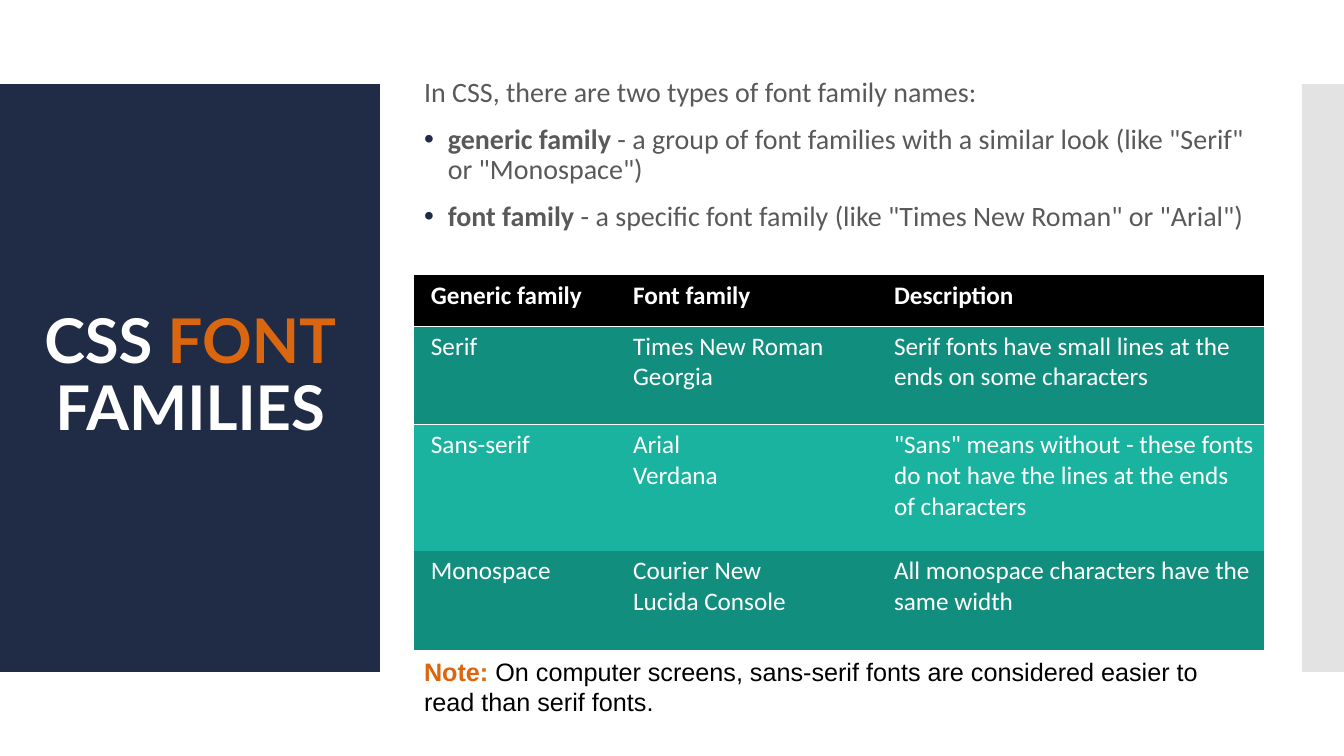
from pptx import Presentation
from pptx.util import Pt
from pptx.dml.color import RGBColor
from pptx.enum.shapes import MSO_SHAPE
from pptx.enum.text import MSO_ANCHOR, MSO_AUTO_SIZE, PP_ALIGN
from pptx.oxml import parse_xml
from pptx.oxml.ns import nsdecls
from lxml.etree import SubElement

NAVY = RGBColor(0x20, 0x2C, 0x45)
GREY = RGBColor(0xC8, 0xC8, 0xC8)
ORANGE = RGBColor(0xDA, 0x67, 0x0F)
TEXT = RGBColor(0x59, 0x59, 0x59)
DARK = RGBColor(0x12, 0x8E, 0x7E)
LIGHT = RGBColor(0x1A, 0xB3, 0x9F)
WHITE = RGBColor(0xFF, 0xFF, 0xFF)
BLACK = RGBColor(0, 0, 0)

# Content
TITLE = [("CSS ", WHITE), ("FONT", ORANGE), (" FAMILIES", WHITE)]
INTRO = "In CSS, there are two types of font family names:"
TYPES = [
    ("generic family", ' - a group of font families with a similar look (like "Serif" or "Monospace")'),
    ("font family", ' - a specific font family (like "Times New Roman" or "Arial")'),
]
ROWS = [
    ("Generic family", "Font family", "Description"),
    ("Serif", "Times New Roman\vGeorgia",
     "Serif fonts have small lines at the ends on some characters"),
    ("Sans-serif", "Arial\vVerdana",
     '"Sans" means without - these fonts do not have the lines at the ends of characters'),
    ("Monospace", "Courier New\vLucida Console",
     "All monospace characters have the same width"),
]
NOTE = ("Note:", " On computer screens, sans-serif fonts are considered easier to read than serif fonts.")

# Layout
WIDTH, HEIGHT = 960.5, 540
LEFT, WIDE = 296, 607
BAND_TOP, BAND_H = 60, 420
COLS = [150.5, 186.5, 270]
HIGH = [36.5, 70.5, 90, 70.5]
FILLS = [BLACK, DARK, LIGHT, DARK]
NO_STYLE = "{2D5ABB26-0587-4C30-8999-92F81FD0307C}"

deck = Presentation()
deck.slide_width, deck.slide_height = Pt(WIDTH), Pt(HEIGHT)
slide = deck.slides.add_slide(deck.slide_layouts[5])
shapes = slide.shapes


def add_band(left, width, color):
    band = shapes.add_shape(MSO_SHAPE.RECTANGLE, Pt(left), Pt(BAND_TOP), Pt(width), Pt(BAND_H))
    band.shadow.inherit = False
    band.fill.solid()
    band.fill.fore_color.rgb = color
    band.line.fill.background()
    return band


def add_text(top, height):
    frame = shapes.add_textbox(Pt(LEFT), Pt(top), Pt(WIDE), Pt(height)).text_frame
    frame.word_wrap = True
    return frame


def set_font(para, name, size, color):
    para.font.name, para.font.size = name, Pt(size)
    para.font.color.rgb = color


def add_run(para, text, bold=None, color=None):
    run = para.add_run()
    run.text = text
    run.font.bold = bold
    if color is not None:
        run.font.color.rgb = color


def add_bullet(para):
    props = para._p.get_or_add_pPr()
    props.set("marL", str(Pt(17)))
    props.set("indent", str(-Pt(17)))
    for xml in (f'<a:buClr {nsdecls("a")}><a:srgbClr val="{NAVY}"/></a:buClr>',
                f'<a:buFont {nsdecls("a")} typeface="Arial"/>',
                f'<a:buChar {nsdecls("a")} char="•"/>'):
        props.insert_element_before(parse_xml(xml), "a:tabLst", "a:defRPr", "a:extLst")


def add_border(cell, side):
    cell._tc.get_or_add_tcPr().insert(0, parse_xml(
        f'<a:{side} {nsdecls("a")} w="{Pt(0.96)}"><a:solidFill>'
        f'<a:srgbClr val="{WHITE}"/></a:solidFill></a:{side}>'))


# Side bands, behind the title
add_band(0, 271.5, NAVY)
strip = add_band(930.5, 30, GREY)
tint = strip.fill._xPr.find(".//{*}srgbClr")
SubElement(tint, tint.tag.replace("srgbClr", "alpha"), val="50000")

# Title
title = shapes.title
title.left, title.top, title.width, title.height = Pt(20), Pt(88.5), Pt(232), Pt(362)
shapes._spTree.append(title._element)
frame = title.text_frame
frame.auto_size = MSO_AUTO_SIZE.NONE
frame.vertical_anchor = MSO_ANCHOR.MIDDLE
para = frame.paragraphs[0]
para.alignment, para.line_spacing = PP_ALIGN.CENTER, 0.9
set_font(para, "Lato", 44, WHITE)
para.font.bold = True
for text, color in TITLE:
    add_run(para, text, color=color)

# Intro and the two types
frame = add_text(31, 160.5)
frame.vertical_anchor = MSO_ANCHOR.MIDDLE
for i, (head, rest) in enumerate([("", INTRO)] + TYPES):
    para = frame.add_paragraph() if i else frame.paragraphs[0]
    para.line_spacing, para.space_before = 0.9, Pt(12)
    set_font(para, "Calibri", 20, TEXT)
    if head:
        add_bullet(para)
        add_run(para, head, bold=True)
    add_run(para, rest)

# Table of families
grid = shapes.add_table(len(ROWS), len(COLS), Pt(LEFT), Pt(196.5), Pt(WIDE), Pt(sum(HIGH)))
table = grid.table
table.horz_banding = False
table._tbl.tblPr.find("{*}tableStyleId").text = NO_STYLE
for col, width in zip(table.columns, COLS):
    col.width = Pt(width)
for r, row in enumerate(ROWS):
    table.rows[r].height = Pt(HIGH[r])
    for c, text in enumerate(row):
        cell = table.cell(r, c)
        cell.margin_left = Pt(6 if c else 12)
        cell.margin_right = Pt(6)
        cell.margin_top = cell.margin_bottom = Pt(3.6)
        cell.fill.solid()
        cell.fill.fore_color.rgb = FILLS[r]
        if r < 2:
            add_border(cell, "lnT" if r else "lnB")
        para = cell.text_frame.paragraphs[0]
        para.text = text
        set_font(para, "Calibri", 18, WHITE)
        para.font.bold = r == 0

# Note
para = add_text(465, 50.5).paragraphs[0]
set_font(para, "Arial", 18, BLACK)
add_run(para, NOTE[0], bold=True, color=ORANGE)
add_run(para, NOTE[1])

deck.save("out.pptx")
